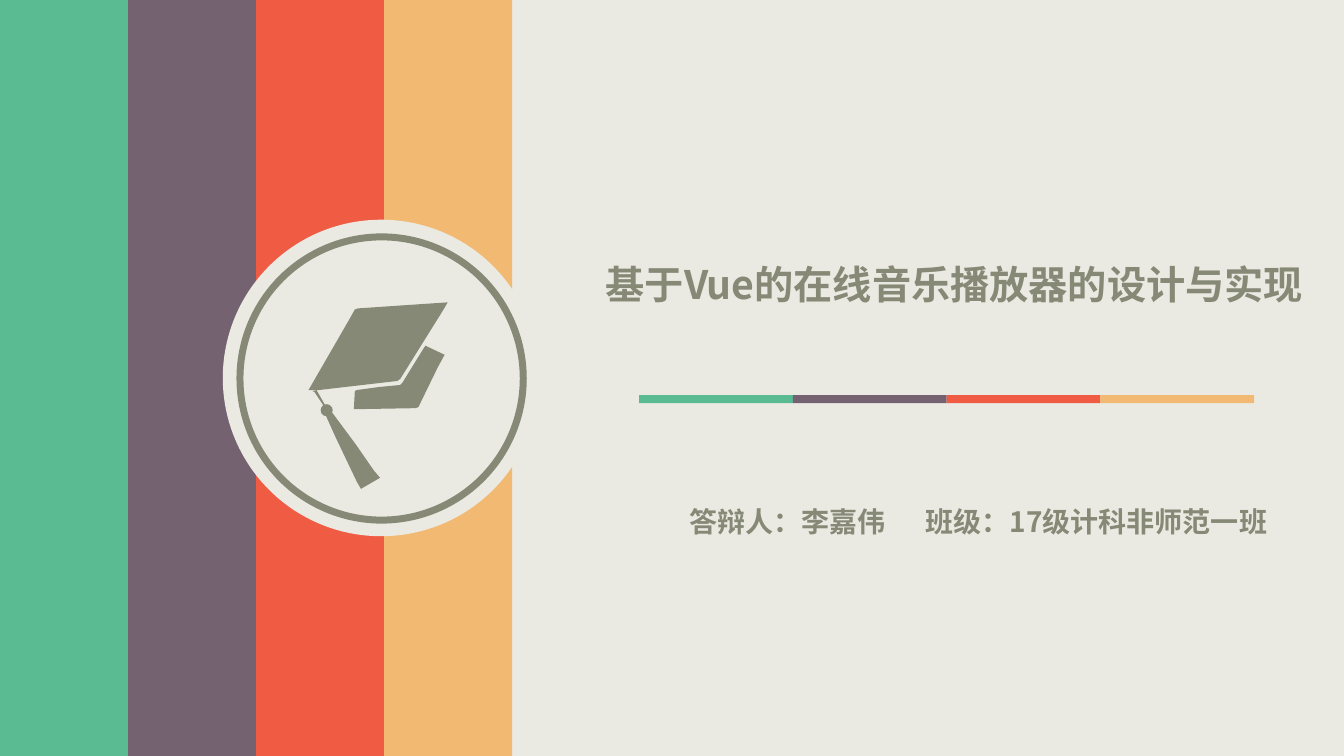
from dataclasses import dataclass

from pptx import Presentation
from pptx.dml.color import RGBColor
from pptx.enum import shapes, text
from pptx.oxml import ns, xmlchemy
from pptx import util as u

CELL = u.Inches(0.01)
COLUMNS, ROWS = 1333, 750
RECTANGLE, OVAL = shapes.MSO_SHAPE.RECTANGLE, shapes.MSO_SHAPE.OVAL


@dataclass(frozen=True)
class Theme:
    """Colours, font and type sizes of the slide."""
    paper: str = "EBEAE2"
    ink: str = "858976"
    bands: tuple = ("5ABB93", "756271", "EF5B43", "F2B973")
    font: str = "Noto Sans CJK SC"
    title: int = 28
    label: int = 20
    leading: float = 1.2
    ring: int = 5


THEME = Theme()

CAP_BOARD = [(306, 387), (347, 316), (352, 307), (355, 306), (429, 301), (444, 300),
             (440, 307), (397, 376), (394, 378), (316, 387), (314, 387)]
CAP_BASE = [(351, 406), (352, 388), (354, 387), (376, 384), (397, 382), (399, 380),
            (420, 346), (422, 343), (441, 352), (434, 365), (415, 404), (412, 405),
            (352, 406)]
TASSEL = [(310, 388), (314, 387), (322, 401), (330, 410), (353, 441), (371, 467),
          (377, 474), (358, 485), (354, 478), (333, 434), (324, 414), (320, 401),
          (312, 389)]


def style(shape, fill=None, line=None, weight=0):
    """Give a shape its fill and outline, without shadow."""
    shape.shadow.inherit = False
    if fill:
        shape.fill.solid()
        shape.fill.fore_color.rgb = RGBColor.from_string(fill)
    else:
        shape.fill.background()
    if line:
        shape.line.color.rgb = RGBColor.from_string(line)
        shape.line.width = u.Pt(weight)
    else:
        shape.line.fill.background()


def add_preset(parent, kind, left, top, width, height, **look):
    """Add a preset shape placed in grid cells."""
    box = [CELL * cells for cells in (left, top, width, height)]
    style(parent.add_shape(kind, *box), **look)


def add_circle(parent, center_x, center_y, radius, **look):
    """Add a circle around a grid point."""
    add_preset(parent, OVAL, center_x - radius, center_y - radius,
               2 * radius, 2 * radius, **look)


def add_bands(parent, left, top, width, height):
    """Add one adjoining rectangle for each band colour."""
    for index, color in enumerate(THEME.bands):
        add_preset(parent, RECTANGLE, left + index * width, top, width, height, fill=color)


def add_outline(parent, points, **look):
    """Add a closed polygon through grid points."""
    builder = parent.build_freeform(*points[0], scale=CELL)
    builder.add_line_segments(points[1:], close=True)
    style(builder.convert_to_shape(), **look)


def add_text(parent, words, left, top, width, height, *, size):
    """Add a wrapping box of bold text placed in grid cells."""
    box = [CELL * cells for cells in (left, top, width, height)]
    frame = parent.add_textbox(*box).text_frame
    frame.word_wrap = True
    frame.auto_size = text.MSO_AUTO_SIZE.SHAPE_TO_FIT_TEXT
    paragraph = frame.paragraphs[0]
    paragraph.line_spacing = u.Pt(size * THEME.leading)
    run = paragraph.add_run()
    run.text = words
    run.font.size, run.font.bold, run.font.name = u.Pt(size), True, THEME.font
    run.font.color.rgb = RGBColor.from_string(THEME.ink)
    east_asian = xmlchemy.OxmlElement("a:ea")
    east_asian.set("typeface", THEME.font)
    run.font._element.find(ns.qn("a:latin")).addnext(east_asian)


def add_emblem(parent):
    """Add the ringed graduation cap."""
    add_circle(parent, 378, 375, 157, fill=THEME.paper)
    emblem = parent.add_group_shape().shapes
    add_circle(emblem, 378.5, 375.5, 140.5, line=THEME.ink, weight=THEME.ring)
    for points in (CAP_BOARD, CAP_BASE, TASSEL):
        add_outline(emblem, points, fill=THEME.ink)
    add_circle(emblem, 324, 407, 6, fill=THEME.ink)


def main():
    """Build and save the cover slide."""
    presentation = Presentation()
    presentation.slide_width, presentation.slide_height = CELL * COLUMNS, CELL * ROWS
    slide = presentation.slides.add_slide(presentation.slide_layouts[6])
    slide.background.fill.solid()
    slide.background.fill.fore_color.rgb = RGBColor.from_string(THEME.paper)

    add_bands(slide.shapes, 0, 0, 127, ROWS)
    add_bands(slide.shapes.add_group_shape().shapes, 634, 392, 152.5, 8)
    add_emblem(slide.shapes)
    add_text(slide.shapes, "基于Vue的在线音乐播放器的设计与实现", 591, 253, 724, 57,
             size=THEME.title)
    details = slide.shapes.add_group_shape().shapes
    add_text(details, "答辩人：李嘉伟", 674, 496, 217, 44, size=THEME.label)
    add_text(details, "班级：17级计科非师范一班", 908, 496, 363, 44, size=THEME.label)
    presentation.save("out.pptx")


if __name__ == "__main__":
    main()
